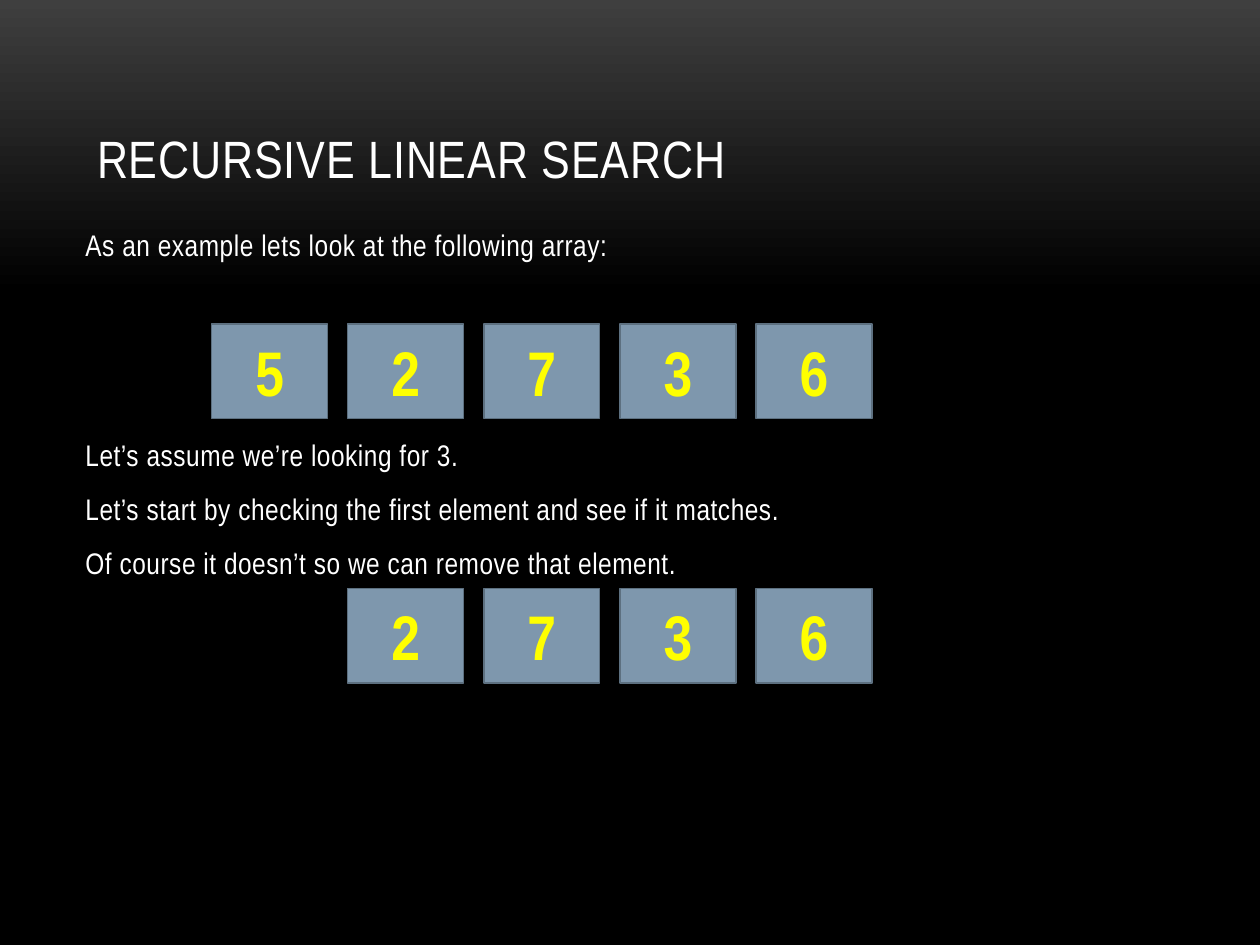
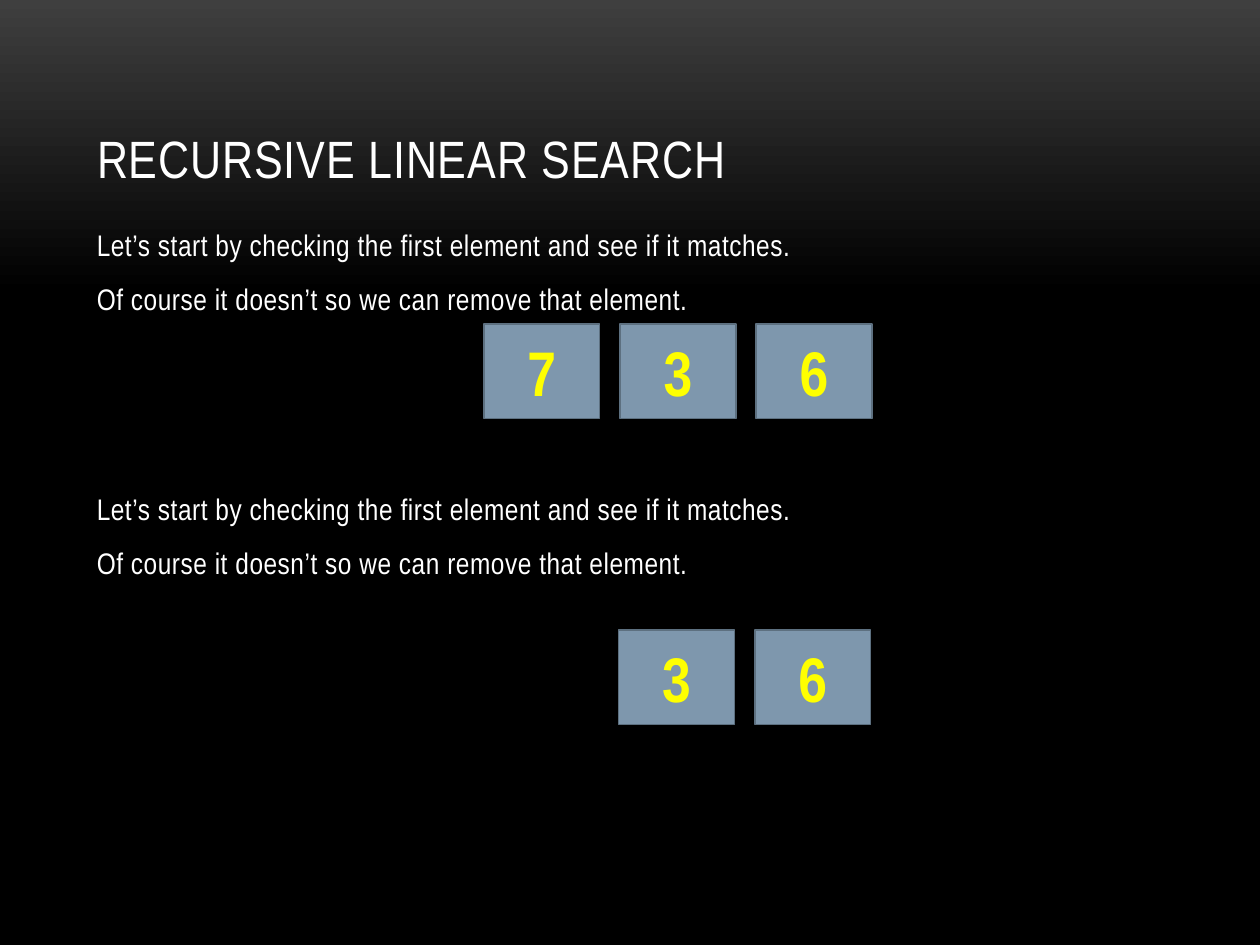
from copy import deepcopy
from dataclasses import dataclass

from pptx import Presentation
from pptx.dml.color import RGBColor as RGB
from pptx.enum.shapes import MSO_SHAPE as Shape
from pptx.enum.text import MSO_ANCHOR as Anchor, MSO_AUTO_SIZE as AutoSize, PP_ALIGN as Align
from pptx.util import Inches, Pt


@dataclass(frozen=True)
class Theme:
    font: str = "Arial Narrow"
    white: str = "FFFFFF"
    glow: str = "3F3F3F"
    black: str = "000000"
    tile: str = "7E97AD"
    tile_edge: str = "5D7080"
    digit: str = "FFFF00"
    title_size: int = 30
    body_size: int = 17
    digit_size: int = 36


THEME = Theme()
TITLE = "RECURSIVE LINEAR SEARCH"
CHECK = "Let’s start by checking the first element and see if it matches."
REMOVE = "Of course it doesn’t so we can remove that element."

# Array tiles: every row ends in the same column
TILE_W, TILE_H, TILE_PITCH = 0.92, 0.75, 1.08
# Body spacing in points; one skipped line is LINE_PITCH high
BEFORE, AFTER, LINE_PITCH = 4.3, 6, 29.86


def write(paragraph, text, size, color, bold=False, align=Align.LEFT, tracking=0, before=0, after=0):
    paragraph.alignment = align
    paragraph.space_before, paragraph.space_after = Pt(before), Pt(after)
    run = paragraph.add_run()
    run.text = text
    run.font.name, run.font.size, run.font.bold = THEME.font, Pt(size), bold
    run.font.color.rgb = RGB.from_string(color)
    if tracking:
        run.font._element.set("spc", str(round(tracking * 100)))


def paint_background(master):
    fill = master.background.fill
    fill.gradient()
    fill.gradient_angle = 270
    top, fade = fill.gradient_stops
    top.color.rgb = RGB.from_string(THEME.glow)
    top.position = 0
    fade.color.rgb = RGB.from_string(THEME.black)
    fade.position = 0.31
    # Hold black from the fade down to the bottom edge
    stops = master.element.xpath("p:cSld/p:bg//a:gsLst")[0]
    bottom = deepcopy(stops[-1])
    bottom.set("pos", "100000")
    stops.append(bottom)


def add_title(slide, left, top, width, height):
    title = slide.shapes.title
    title.left, title.top = Inches(left), Inches(top)
    title.width, title.height = Inches(width), Inches(height)
    frame = title.text_frame
    frame.auto_size, frame.word_wrap = AutoSize.NONE, True
    frame.vertical_anchor = Anchor.BOTTOM
    write(frame.paragraphs[0], TITLE, THEME.title_size, THEME.white, tracking=0.5)


def add_body(slide, lines, left, top, width, height):
    """Each line is (text, number of line heights left free above it)."""
    frame = slide.shapes.add_textbox(
        Inches(left), Inches(top), Inches(width), Inches(height)).text_frame
    frame.word_wrap = True
    for index, (text, skipped) in enumerate(lines):
        paragraph = frame.add_paragraph() if index else frame.paragraphs[0]
        before = BEFORE + skipped * LINE_PITCH if index else 0
        write(paragraph, text, THEME.body_size, THEME.white, tracking=0.3,
              before=before, after=AFTER)


def add_array(slide, digits, last_left, top):
    """Row of tiles placed leftwards from its last element."""
    first_left = last_left - (len(digits) - 1) * TILE_PITCH
    for index, digit in enumerate(digits):
        tile = slide.shapes.add_shape(
            Shape.RECTANGLE, Inches(first_left + index * TILE_PITCH), Inches(top),
            Inches(TILE_W), Inches(TILE_H))
        tile.shadow.inherit = False
        tile.fill.solid()
        tile.fill.fore_color.rgb = RGB.from_string(THEME.tile)
        tile.line.color.rgb = RGB.from_string(THEME.tile_edge)
        tile.line.width = Pt(0.85)
        tile.text_frame.vertical_anchor = Anchor.MIDDLE
        write(tile.text_frame.paragraphs[0], digit, THEME.digit_size, THEME.digit,
              bold=True, align=Align.CENTER)


def add_search_slide(prs, lines, arrays, body_left):
    slide = prs.slides.add_slide(prs.slide_layouts.get_by_name("Title Only"))
    add_title(slide, 0.67, 0.3, 8.67, 1.25)
    add_body(slide, lines, body_left, 1.75, 8.67, 4.5)
    for digits, last_left, top in arrays:
        add_array(slide, digits, last_left, top)


def main():
    prs = Presentation()
    prs.slide_width, prs.slide_height = Inches(10), Inches(7.5)
    paint_background(prs.slide_master)

    # First step: the 5 is dropped
    add_search_slide(
        prs,
        [("As an example lets look at the following array:", 0),
         ("Let’s assume we’re looking for 3.", 3), (CHECK, 0), (REMOVE, 0)],
        [("52736", 6, 2.57), ("2736", 6, 4.67)],
        body_left=0.58)

    # Next steps: the 2 and the 7 are dropped
    add_search_slide(
        prs,
        [(CHECK, 0), (REMOVE, 0), (CHECK, 3), (REMOVE, 0)],
        [("736", 6, 2.57), ("36", 5.99, 5)],
        body_left=0.67)

    prs.save("out.pptx")


if __name__ == "__main__":
    main()
